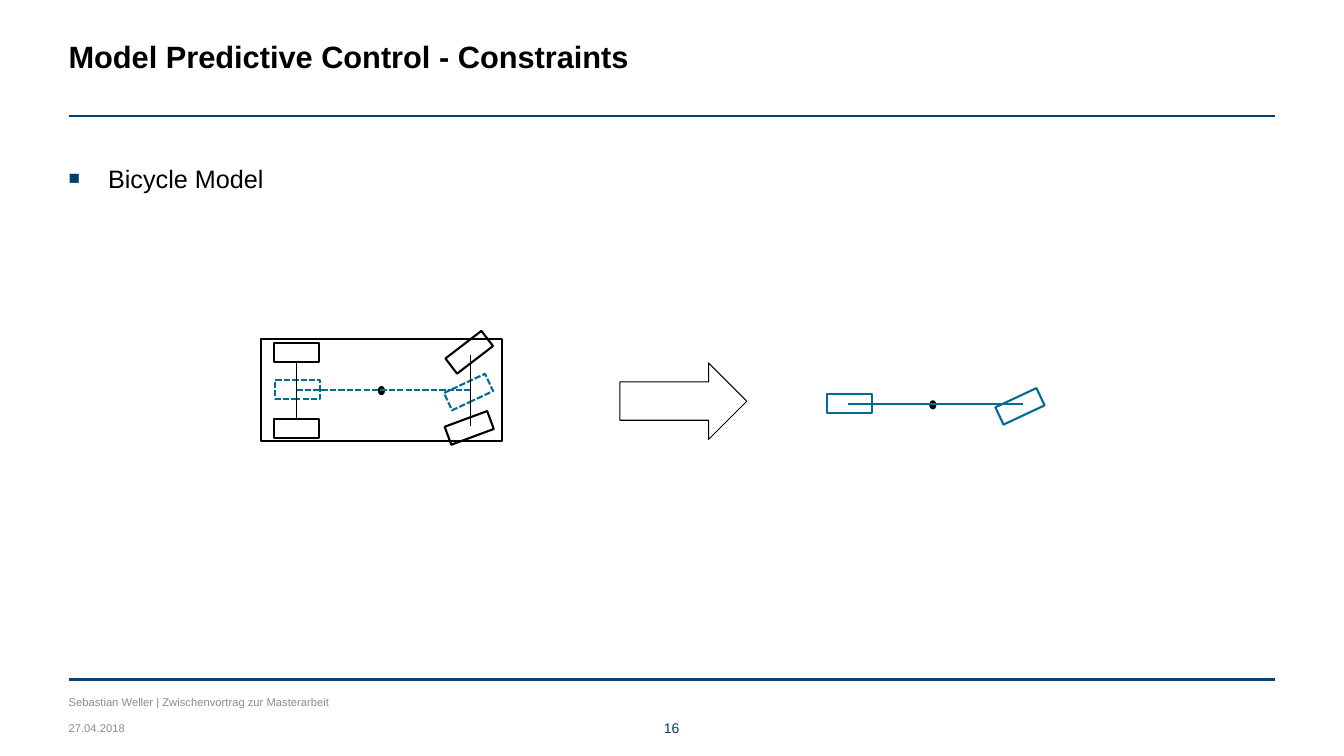
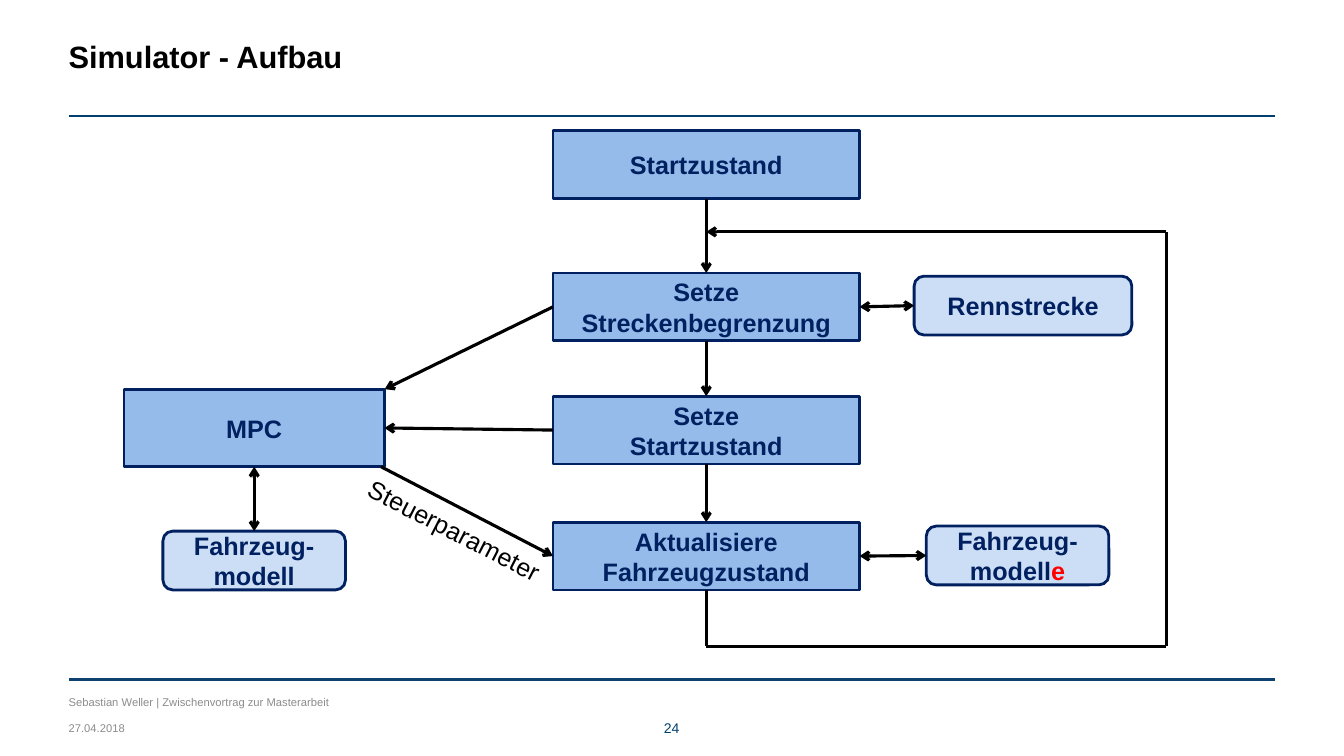
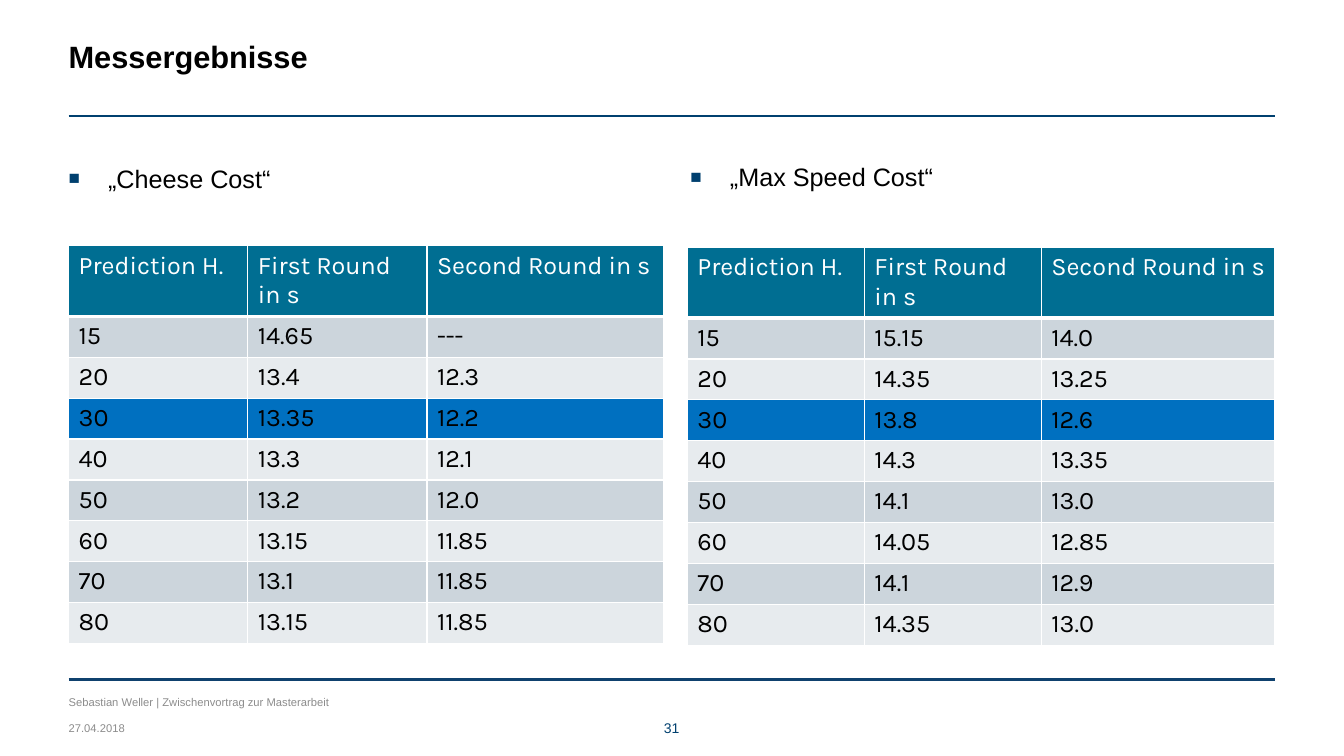
import lxml.etree
import pptx
import pptx.dml.color
import pptx.enum.dml
import pptx.enum.shapes
import pptx.enum.text
import pptx.oxml.ns
import pptx.util

Pt = pptx.util.Pt
RGBColor = pptx.dml.color.RGBColor
Preset = pptx.enum.shapes.MSO_SHAPE
Align = pptx.enum.text.PP_ALIGN
qn = pptx.oxml.ns.qn

BLACK = RGBColor(0x00, 0x00, 0x00)
WHITE = RGBColor(0xFF, 0xFF, 0xFF)
GRAY = RGBColor(0x8C, 0x8C, 0x8C)
RED = RGBColor(0xFF, 0x00, 0x00)
ACCENT = RGBColor(0x00, 0x40, 0x6F)
BAND = RGBColor(0x0F, 0x41, 0x6E)
TEAL = RGBColor(0x00, 0x6E, 0x92)
NAVY = RGBColor(0x00, 0x20, 0x60)
NODE_BLUE = RGBColor(0x95, 0xBB, 0xEB)
HIGHLIGHT = RGBColor(0x00, 0x70, 0xC0)
ROW_DARK = RGBColor(0xCC, 0xD5, 0xDC)
ROW_LIGHT = RGBColor(0xE7, 0xEB, 0xEE)

LEFT, RIGHT = 49, 911
WHEEL = (32.4, 13.7)
COLUMN_LEFT, COLUMN_WIDTH, STEP_HEIGHT = 395, 219, 48.4
TOP_SITE, LEFT_SITE, BOTTOM_SITE, RIGHT_SITE = range(4)
TABLE_HEAD = ("Prediction H.", "First Round in s", "Second Round in s")
CHEESE_ROWS = (
    ("15", "14.65", "---"),
    ("20", "13.4", "12.3"),
    ("30", "13.35", "12.2"),
    ("40", "13.3", "12.1"),
    ("50", "13.2", "12.0"),
    ("60", "13.15", "11.85"),
    ("70", "13.1", "11.85"),
    ("80", "13.15", "11.85"),
)
SPEED_ROWS = (
    ("15", "15.15", "14.0"),
    ("20", "14.35", "13.25"),
    ("30", "13.8", "12.6"),
    ("40", "14.3", "13.35"),
    ("50", "14.1", "13.0"),
    ("60", "14.05", "12.85"),
    ("70", "14.1", "12.9"),
    ("80", "14.35", "13.0"),
)


def add_xml(parent, tag, **attributes):
    return lxml.etree.SubElement(parent, qn(tag), attributes)


def write(para, text, size=18, color=BLACK, bold=False, font="Arial", align=Align.LEFT):
    para.alignment = align
    span = para.add_run()
    span.text = text
    span.font.name = font
    span.font.size = Pt(size)
    span.font.bold = bold
    span.font.color.rgb = color


def add_text(page, text, left, top, width, height, margin=0, rotation=0, **style):
    box = page.shapes.add_textbox(Pt(left), Pt(top), Pt(width), Pt(height))
    box.rotation = rotation
    frame = box.text_frame
    frame.word_wrap = True
    frame.margin_left = frame.margin_right = Pt(margin)
    frame.margin_top = frame.margin_bottom = Pt(margin / 2)
    write(frame.paragraphs[0], text, **style)
    return box


def add_bullet(page, text, left, top):
    box = add_text(page, text, left, top, 425, 30)
    para = box.text_frame.paragraphs[0]
    properties = para._p.get_or_add_pPr()
    properties.set("marL", str(Pt(28.2)))
    properties.set("indent", str(-Pt(28.2)))
    color = add_xml(properties, "a:buClr")
    add_xml(color, "a:srgbClr", val=str(ACCENT))
    add_xml(properties, "a:buSzPct", val="75000")
    add_xml(properties, "a:buFont", typeface="Arial")
    add_xml(properties, "a:buChar", char="■")
    para.space_after = Pt(9)


def add_line(page, start, end, color=BLACK, weight=2.25, dash=None, head=False, tail=False):
    line = page.shapes.add_connector(
        pptx.enum.shapes.MSO_CONNECTOR.STRAIGHT, *(Pt(value) for value in (*start, *end))
    )
    line.line.color.rgb = color
    line.line.width = Pt(weight)
    if dash:
        line.line.dash_style = dash
    outline = line.line._get_or_add_ln()
    for wanted, tag in ((head, "a:headEnd"), (tail, "a:tailEnd")):
        if wanted:
            add_xml(outline, tag, type="arrow")
    add_xml(line._element.spPr, "a:effectLst")
    return line


def join(page, start, start_site, end, end_site, both=False):
    line = add_line(page, (0, 0), (1, 1), head=both, tail=True)
    line.begin_connect(start, start_site)
    line.end_connect(end, end_site)


def add_shape(page, preset, left, top, width, height, fill=None, color=BLACK,
              weight=1.5, dash=None, rotation=0):
    shape = page.shapes.add_shape(preset, Pt(left), Pt(top), Pt(width), Pt(height))
    shape.shadow.inherit = False
    shape.rotation = rotation
    if fill is None:
        shape.fill.background()
    else:
        shape.fill.solid()
        shape.fill.fore_color.rgb = fill
    shape.line.color.rgb = color
    shape.line.width = Pt(weight)
    if dash:
        shape.line.dash_style = dash
    return shape


def add_node(page, lines, left, top, width, height, pale=False, red_ending=""):
    node = add_shape(page, Preset.ROUNDED_RECTANGLE, left, top, width, height,
                     fill=NODE_BLUE, color=NAVY, weight=2)
    if pale:
        fill_color = node._element.spPr.find(qn("a:solidFill"))[0]
        add_xml(fill_color, "a:alpha", val="48000")
    else:
        node.adjustments[0] = 0
    frame = node.text_frame
    frame.word_wrap = True
    frame.vertical_anchor = pptx.enum.text.MSO_ANCHOR.MIDDLE
    for index, text in enumerate(lines):
        para = frame.add_paragraph() if index else frame.paragraphs[0]
        write(para, text, color=NAVY, bold=True, align=Align.CENTER)
    if red_ending:
        write(frame.paragraphs[-1], red_ending, color=RED, bold=True, align=Align.CENTER)
    return node


def add_step(page, top, *lines):
    return add_node(page, lines, COLUMN_LEFT, top, COLUMN_WIDTH, STEP_HEIGHT)


def add_wheel(page, left, top, **style):
    add_shape(page, Preset.RECTANGLE, left, top, *WHEEL, **style)


def add_bicycle(page, left, top, dash=None):
    add_shape(page, Preset.OVAL, left + 73.8, top + 4.7, 4.3, 5.8, fill=BLACK, weight=0.75)
    add_line(page, (left + 15.1, top + 7), (left + 140.4, top + 7), TEAL, 1.5, dash)
    add_wheel(page, left, top, color=TEAL, dash=dash)
    add_wheel(page, left + 122, top + 1.8, color=TEAL, dash=dash, rotation=334.9)


def format_cell(cell, text, fill, color, bottom_weight):
    properties = cell._tc.get_or_add_tcPr()
    for side, weight in (("L", 1), ("R", 1), ("T", 1), ("B", bottom_weight)):
        border = add_xml(properties, "a:ln" + side, w=str(Pt(weight)))
        add_xml(add_xml(border, "a:solidFill"), "a:srgbClr", val=str(WHITE))
    cell.fill.solid()
    cell.fill.fore_color.rgb = fill
    write(cell.text_frame.paragraphs[0], text, color=color, font="Karla")


def add_results(page, rows, left, top, widths):
    cells = (TABLE_HEAD, *rows)
    table = page.shapes.add_table(
        len(cells), len(widths), Pt(left), Pt(top), Pt(sum(widths)), Pt(282.8)
    ).table
    table.horz_banding = False
    for column, width in zip(table.columns, widths):
        column.width = Pt(width)
    for index, values in enumerate(cells):
        table.rows[index].height = Pt(29.2 if index else 49.2)
        fill = ROW_DARK if index % 2 else ROW_LIGHT
        if index == 0:
            fill = TEAL
        elif values[0] == "30":
            fill = HIGHLIGHT
        for column, text in enumerate(values):
            format_cell(table.cell(index, column), text, fill,
                        BLACK if index else WHITE, 1 if index else 3)


def add_page(deck, title, number):
    page = deck.slides.add_slide(deck.slide_layouts[6])
    add_line(page, (LEFT, 485.3), (RIGHT, 485.3), BAND, 2.5)
    add_line(page, (LEFT, 82.8), (RIGHT, 82.8), ACCENT, 1)
    add_text(page, title, LEFT, 26.8, RIGHT - LEFT, 26.6, size=22, bold=True)
    add_text(page, "Sebastian Weller | Zwischenvortrag zur Masterarbeit",
             LEFT, 497, 304, 9.4, size=8, color=GRAY)
    add_text(page, "27.04.2018", LEFT, 515.5, 224, 9.4, size=8, color=GRAY)
    add_text(page, number, 457, 514, 45.4, 12.2, size=10, color=ACCENT, align=Align.CENTER)
    return page


def build_constraints(deck):
    page = add_page(deck, "Model Predictive Control - Constraints", "16")
    add_bullet(page, "Bicycle Model", LEFT, 116.6)
    add_bicycle(page, 196.5, 271.4, pptx.enum.dml.MSO_LINE.SQUARE_DOT)
    for axle, top, bottom in ((211.7, 257.8, 298.8), (336.2, 253.4, 304.6)):
        add_line(page, (axle, top), (axle, bottom), weight=0.75)
    for left, top, rotation in (
        (195.8, 244.8, 0), (195.8, 299.5, 0), (319, 244.8, 322.5), (319, 298.8, 339.7)
    ):
        add_wheel(page, left, top, rotation=rotation)
    add_shape(page, Preset.RECTANGLE, 186.5, 241.9, 172, 73.4)
    add_shape(page, Preset.RIGHT_ARROW, 442.8, 259.2, 90.7, 54.7, weight=0.75)
    add_bicycle(page, 590.4, 281.6)


def build_simulator(deck):
    page = add_page(deck, "Simulator - Aufbau", "24")
    start = add_step(page, 93.4, "Startzustand")
    limits = add_step(page, 195, "Setze Streckenbegrenzung")
    state = add_step(page, 283, "Setze", "Startzustand")
    update = add_step(page, 373, "Aktualisiere Fahrzeugzustand")
    control = add_node(page, ["MPC"], 88.6, 278, 186, 55.4)
    model = add_node(page, ["Fahrzeug-modell"], 116.4, 379.4, 130.4, 42, pale=True)
    models = add_node(page, ["Fahrzeug-modell"], 661.7, 375.8, 130.4, 42,
                      pale=True, red_ending="e")
    track = add_node(page, ["Rennstrecke"], 653, 197.3, 155.5, 42, pale=True)

    for upper, lower in ((start, limits), (limits, state), (state, update)):
        join(page, upper, BOTTOM_SITE, lower, TOP_SITE)
    join(page, state, LEFT_SITE, control, RIGHT_SITE)
    join(page, control, BOTTOM_SITE, model, TOP_SITE, both=True)
    join(page, limits, RIGHT_SITE, track, LEFT_SITE, both=True)
    join(page, update, RIGHT_SITE, models, LEFT_SITE, both=True)
    add_line(page, (COLUMN_LEFT, 219.2), (274.8, 278), tail=True)
    add_line(page, (272.2, 333.4), (COLUMN_LEFT, 397.2), tail=True)

    center = COLUMN_LEFT + COLUMN_WIDTH / 2
    loop = ((center, 421.4), (center, 461.5), (833, 461.5), (833, 165.6), (center, 165.6))
    for begin, end in zip(loop, loop[1:]):
        add_line(page, begin, end, tail=end == loop[-1])
    add_text(page, "Steuerparameter", 246.2, 379.4, 215.3, 29, margin=7.2, rotation=27.2)


def build_results(deck):
    page = add_page(deck, "Messergebnisse", "31")
    add_bullet(page, "„Cheese Cost“", LEFT, 116.6)
    add_bullet(page, "„Max Speed Cost“", 493.2, 115.6)
    add_results(page, CHEESE_ROWS, LEFT, 175.6, (128, 128, 169.2))
    add_results(page, SPEED_ROWS, 491, 176.8, (126.4, 126.4, 167))


def main():
    deck = pptx.Presentation()
    deck.slide_width, deck.slide_height = Pt(960), Pt(540)
    build_constraints(deck)
    build_simulator(deck)
    build_results(deck)
    deck.save("out.pptx")


if __name__ == "__main__":
    main()
